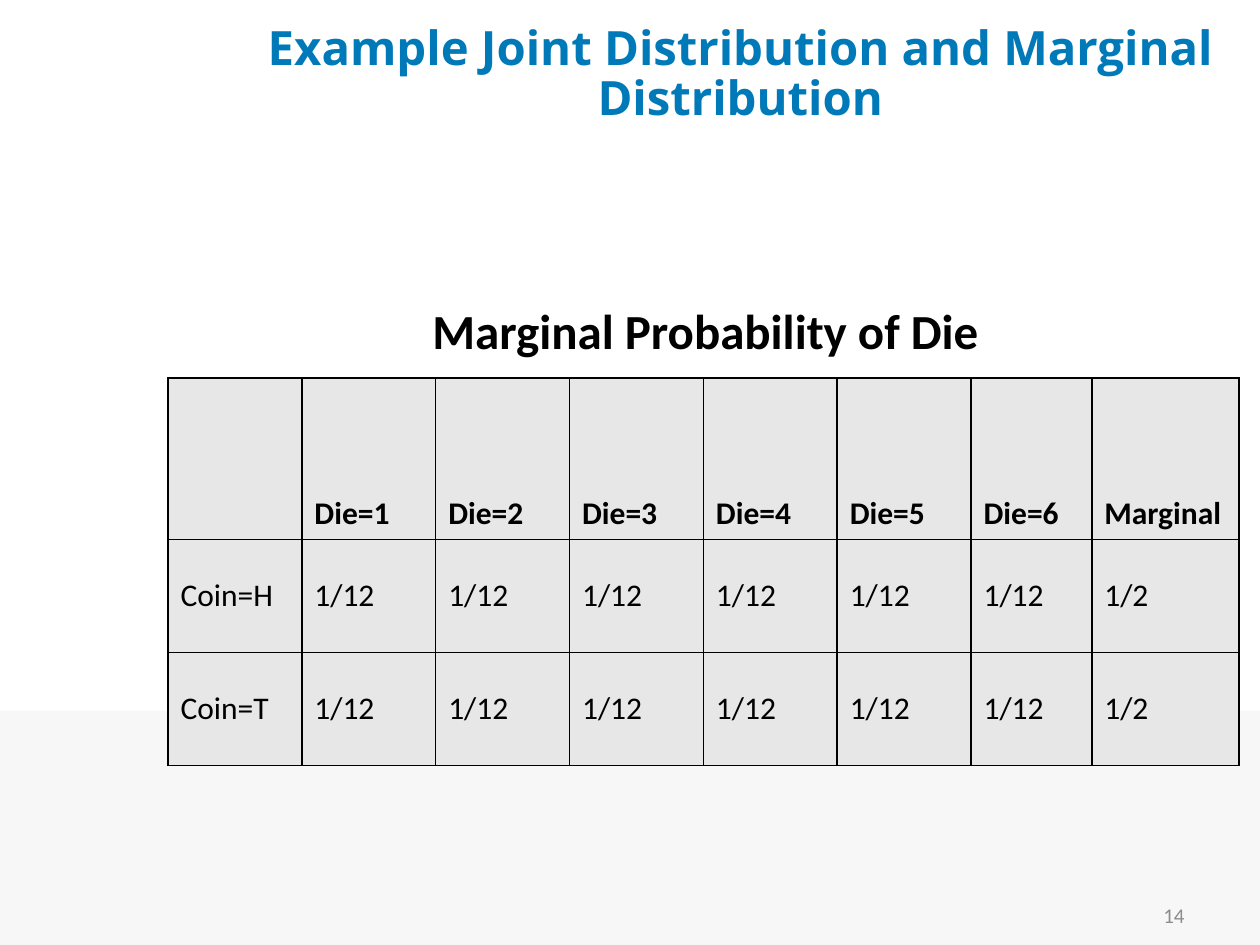
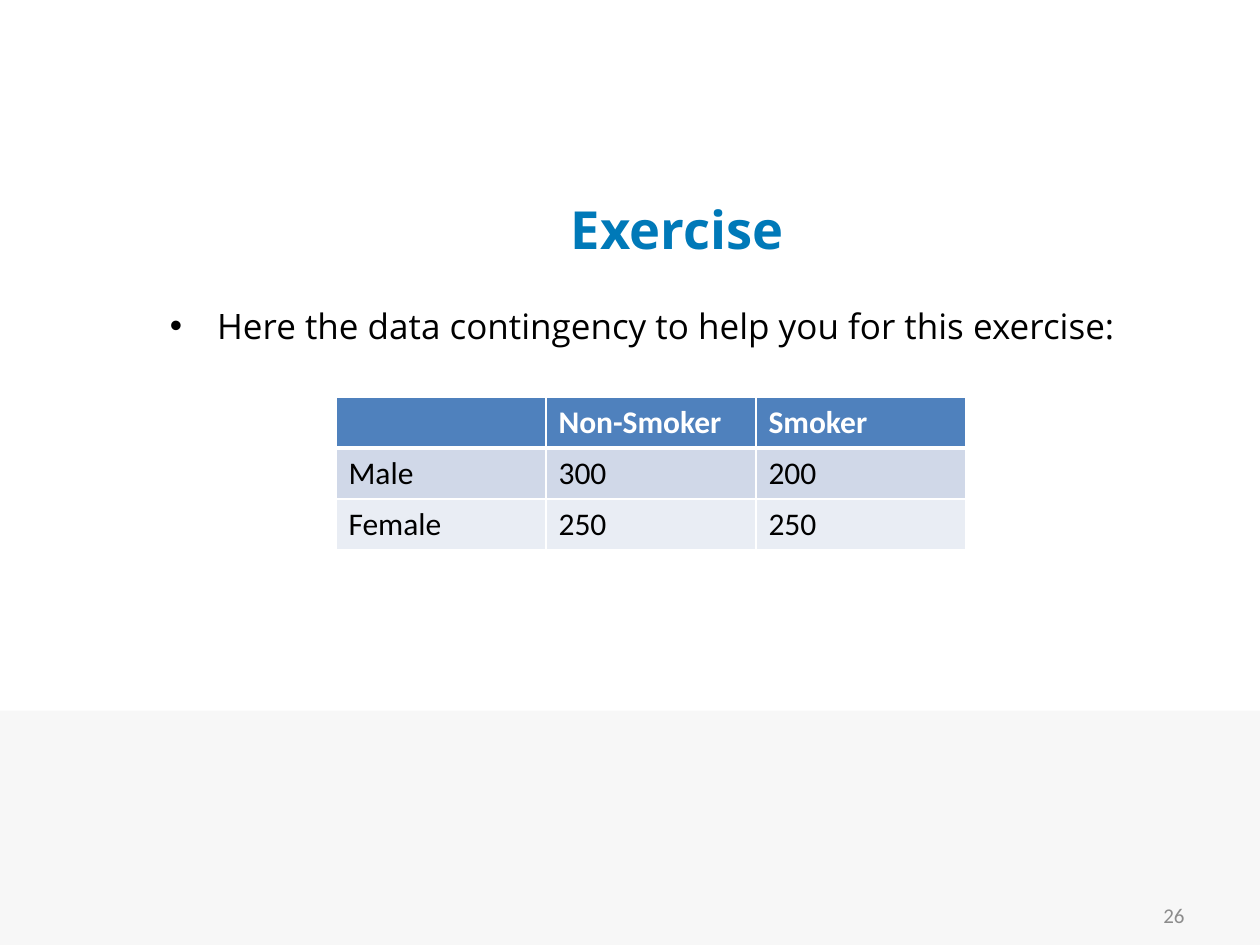
from lxml.etree import SubElement
from pptx import Presentation
from pptx.dml.color import RGBColor
from pptx.enum.shapes import MSO_SHAPE as Preset
from pptx.enum.text import MSO_ANCHOR as Anchor, MSO_AUTO_SIZE as AutoSize, PP_ALIGN as Align
from pptx.oxml.ns import qn
from pptx.util import Pt

BLUE = RGBColor(0x00, 0x79, 0xB8)
BLACK = RGBColor(0x00, 0x00, 0x00)
WHITE = RGBColor(0xFF, 0xFF, 0xFF)
BAND_GRAY = RGBColor(0xF7, 0xF7, 0xF7)
NUMBER_GRAY = RGBColor(0x8C, 0x8C, 0x8C)
CELL_GRAY = RGBColor(0xE7, 0xE7, 0xE7)
HEADER_BLUE = RGBColor(0x4F, 0x81, 0xBD)
ROW_BLUE = RGBColor(0xD0, 0xD8, 0xE8)
ROW_PALE = RGBColor(0xE9, 0xED, 0xF4)

SLIDE_WIDTH, SLIDE_HEIGHT = 720, 540
BAND_TOP = 406
TITLE_ONLY = 5
TITLE_FONT = {"name": "Open Sans", "bold": True}
BODY_FONT = {"name": "Open Sans", "size": Pt(20)}
NUMBER_FONT = {"name": "Calibri", "size": Pt(12)}
CAPTION_FONT = {"name": "Calibri", "size": Pt(28), "bold": True}
CELL_FONT = {"name": "Calibri", "size": Pt(18)}


def set_attributes(target, values):
    for name, value in values.items():
        setattr(target, name, value)


def write_text(frame, text, font, color, **paragraph_format):
    paragraph = frame.paragraphs[0]
    set_attributes(paragraph, paragraph_format)
    run = paragraph.add_run()
    run.text = text
    set_attributes(run.font, font)
    run.font.color.rgb = color
    return paragraph


def place(shape, left, top, width, height):
    box = dict(left=left, top=top, width=width, height=height)
    set_attributes(shape, {side: Pt(length) for side, length in box.items()})


def add_text_box(slide, box, **frame_format):
    frame = slide.shapes.add_textbox(*map(Pt, box)).text_frame
    set_attributes(frame, {"word_wrap": True, **frame_format})
    return frame


def add_base_slide(presentation, title, size, left, top, number):
    slide = presentation.slides.add_slide(presentation.slide_layouts[TITLE_ONLY])
    band = slide.shapes.add_shape(
        Preset.RECTANGLE, 0, Pt(BAND_TOP), Pt(SLIDE_WIDTH), Pt(SLIDE_HEIGHT - BAND_TOP)
    )
    band.shadow.inherit = False
    band.fill.solid()
    band.fill.fore_color.rgb = BAND_GRAY
    band.line.fill.background()

    place(slide.shapes.title, left, top, 594, 50.4)
    frame = slide.shapes.title.text_frame
    set_attributes(frame, {"vertical_anchor": Anchor.MIDDLE, "auto_size": AutoSize.NONE})
    write_text(frame, title, {**TITLE_FONT, "size": Pt(size)}, BLUE,
               alignment=Align.CENTER, line_spacing=0.87)

    frame = add_text_box(slide, (516, 508.5, 168, 28.75), vertical_anchor=Anchor.MIDDLE)
    write_text(frame, number, NUMBER_FONT, NUMBER_GRAY, alignment=Align.RIGHT)
    return slide


def add_bullet(slide, text, box):
    frame = add_text_box(slide, box)
    paragraph = write_text(frame, text, BODY_FONT, BLACK, line_spacing=1.5, space_before=Pt(4))
    properties = paragraph._p.get_or_add_pPr()
    properties.set("marL", str(Pt(27)))
    properties.set("indent", str(-Pt(27)))
    SubElement(properties, qn("a:buFont"), typeface="Arial")
    SubElement(properties, qn("a:buChar"), char="•")


def set_borders(cell, color, widths):
    properties = cell._tc.get_or_add_tcPr()
    for side, width in widths.items():
        line = SubElement(properties, qn(f"a:ln{side}"), w=str(Pt(width)))
        fill = SubElement(line, qn("a:solidFill"))
        SubElement(fill, qn("a:srgbClr"), val=str(color))


def add_grid(slide, rows, left, top, widths, heights, fills, header_color, border, header_rule=1):
    table = slide.shapes.add_table(
        len(rows), len(widths), Pt(left), Pt(top), Pt(sum(widths)), Pt(sum(heights))
    ).table
    table.horz_banding = False
    for column, width in zip(table.columns, widths):
        column.width = Pt(width)
    for row_index, values in enumerate(rows):
        table.rows[row_index].height = Pt(heights[row_index])
        is_header = row_index == 0
        top_rule = header_rule if row_index == 1 else 1
        bottom_rule = header_rule if is_header else 1
        for column_index, value in enumerate(values):
            cell = table.cell(row_index, column_index)
            set_borders(cell, border, {"L": 1, "R": 1, "T": top_rule, "B": bottom_rule})
            cell.fill.solid()
            cell.fill.fore_color.rgb = fills[row_index]
            cell.vertical_anchor = Anchor.BOTTOM if is_header else Anchor.MIDDLE
            if value:
                write_text(cell.text_frame, value, {**CELL_FONT, "bold": is_header},
                           header_color if is_header else BLACK)


def add_distribution_slide(presentation):
    slide = add_base_slide(
        presentation, "Example Joint Distribution and Marginal Distribution", 27, 126, 18, "14"
    )
    header = ["", *(f"Die={face}" for face in range(1, 7)), "Marginal"]
    coins = [[f"Coin={side}", *["1/12"] * 6, "1/2"] for side in "HT"]
    add_grid(slide, [header, *coins], 96, 216, [76.5] * 6 + [69, 84], [92.4, 64.6, 64.6],
             [CELL_GRAY] * 3, BLACK, BLACK)
    caption = add_text_box(slide, (240, 168, 330.5, 41), word_wrap=False,
                           auto_size=AutoSize.SHAPE_TO_FIT_TEXT)
    write_text(caption, "Marginal Probability of Die", CAPTION_FONT, BLACK)


def add_exercise_slide(presentation):
    slide = add_base_slide(presentation, "Exercise", 30, 90, 108, "26")
    add_bullet(slide, "Here the data contingency to help you for this exercise:",
               (90, 158.4, 599, 351))
    rows = [["", "Non-Smoker", "Smoker"], ["Male", "300", "200"], ["Female", "250", "250"]]
    add_grid(slide, rows, 192, 226.8, [120] * 3, [29.2] * 3,
             [HEADER_BLUE, ROW_BLUE, ROW_PALE], WHITE, WHITE, header_rule=3)


def main():
    presentation = Presentation()
    presentation.slide_width = Pt(SLIDE_WIDTH)
    presentation.slide_height = Pt(SLIDE_HEIGHT)
    add_distribution_slide(presentation)
    add_exercise_slide(presentation)
    presentation.save("out.pptx")


if __name__ == "__main__":
    main()
